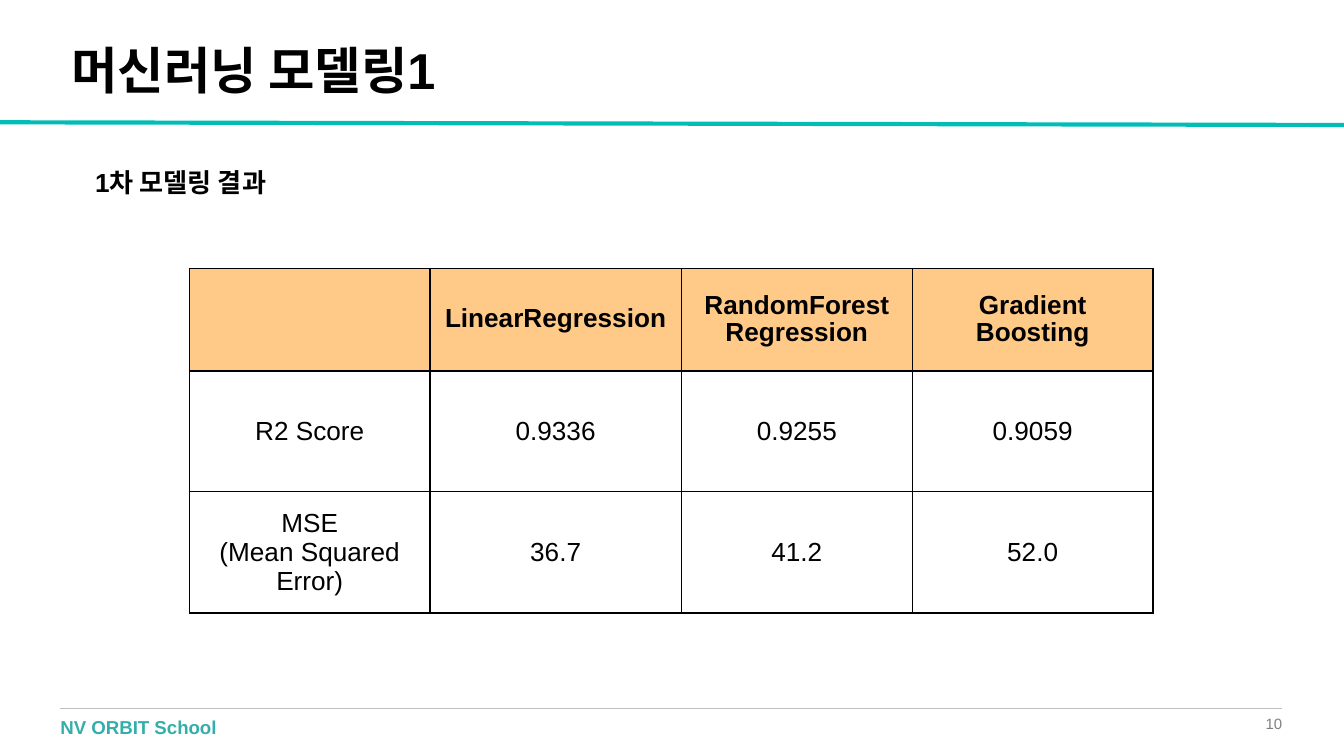
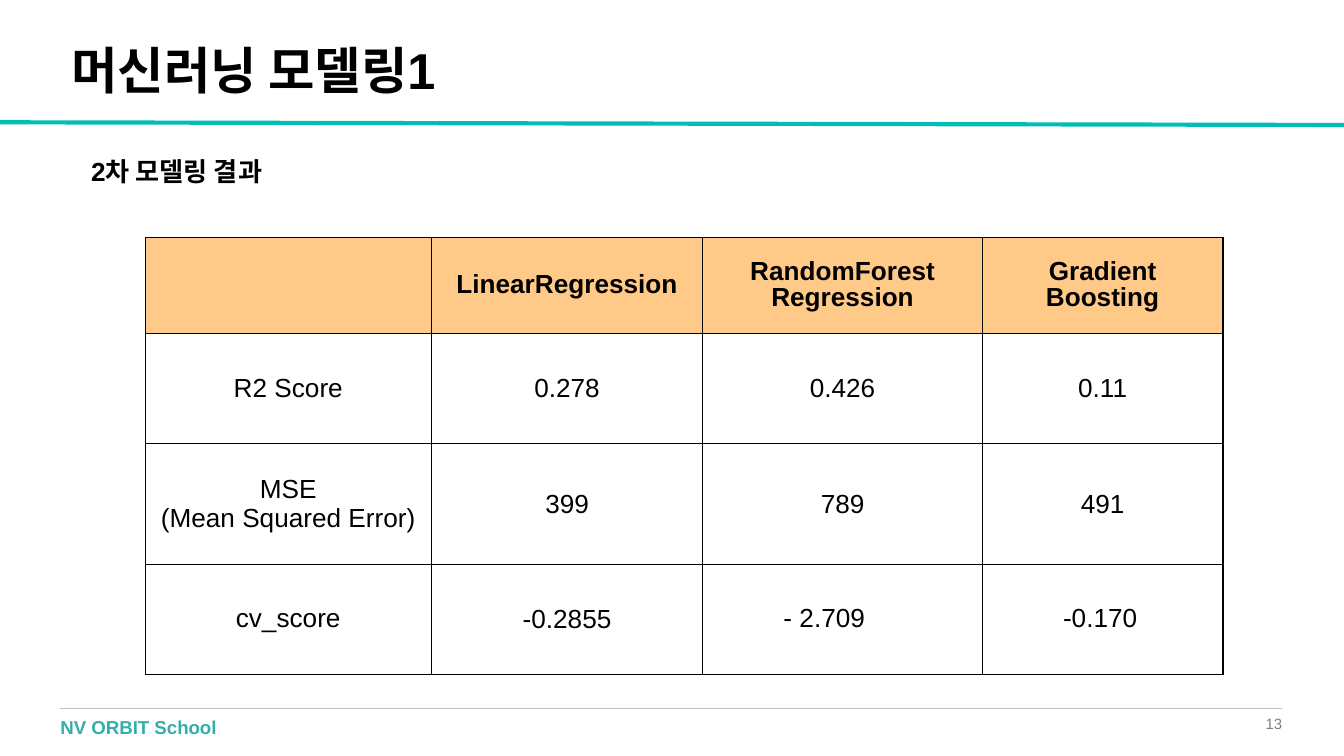
"""Build two slides that compare regression model results in tables."""
from lxml import etree
from pptx import Presentation
from pptx.dml.color import RGBColor
from pptx.enum import shapes, text
from pptx.oxml import ns
from pptx.util import Inches, Pt

BLACK = RGBColor(0x00, 0x00, 0x00)
TEAL = RGBColor(0x02, 0xBD, 0xB6)
FOOTER_TEAL = RGBColor(0x34, 0xAE, 0xAA)
RULE_GRAY = RGBColor(0xBF, 0xBF, 0xBF)
PAGE_GRAY = RGBColor(0x7F, 0x7F, 0x7F)
HEADER_ORANGE = RGBColor(0xFF, 0xCA, 0x88)
FONT = "Arial"
INSET = 0.1
INDENT = 0.5

TITLE = "머신러닝 모델링1"
FOOTER = "NV ORBIT School"
MODELS = ["", "LinearRegression", "RandomForest Regression", "Gradient Boosting"]
MSE = "MSE\n(Mean Squared Error)"

RESULTS = [
    {
        "page": "10",
        "heading": "1차 모델링 결과",
        "heading_at": (0.61, 1.14),
        "table_at": (1.41, 2.0),
        "columns": [1.79, 1.87, 1.72, 1.79],
        "heights": [0.76, 0.9, 0.9],
        "scores": [
            ["R2 Score", "0.9336", "0.9255", "0.9059"],
            [MSE, "36.7", "41.2", "52.0"],
        ],
        "indented": [],
        "tight": [],
    },
    {
        "page": "13",
        "heading": "2차 모델링 결과",
        "heading_at": (0.58, 1.06),
        "table_at": (1.08, 1.77),
        "columns": [2.13, 2.02, 2.08, 1.79],
        "heights": [0.71, 0.82, 0.9, 0.82],
        "scores": [
            ["R2 Score", "0.278", "0.426", "0.11"],
            [MSE, "399", "789", "491"],
            ["cv_score", "-0.2855", "- 2.709", "-0.170"],
        ],
        "indented": ["- 2.709", "-0.170"],
        "tight": ["cv_score", "- 2.709", "-0.170"],
    },
]


def style(paragraph, size, color=BLACK, bold=False, align=text.PP_ALIGN.LEFT, spacing=None):
    paragraph.alignment = align
    if spacing:
        paragraph.line_spacing = spacing
    for run in paragraph.runs:
        run.font.name = FONT
        run.font.size = Pt(size)
        run.font.bold = bold
        run.font.color.rgb = color


def add_text(slide, words, box, insets, size, wrap=True, anchor=text.MSO_ANCHOR.TOP, **look):
    frame = slide.shapes.add_textbox(*map(Inches, box)).text_frame
    frame.word_wrap = wrap
    frame.vertical_anchor = anchor
    frame.margin_left = frame.margin_right = Inches(insets[0])
    frame.margin_top = frame.margin_bottom = Inches(insets[1])
    frame.text = words
    style(frame.paragraphs[0], size, **look)


def add_rule(slide, start, end, color, width):
    rule = slide.shapes.add_connector(
        shapes.MSO_CONNECTOR.STRAIGHT, *map(Inches, start + end))
    rule.line.color.rgb = color
    rule.line.width = Pt(width)
    etree.SubElement(rule._element.spPr, ns.qn("a:effectLst"))


def add_frame(slide, page):
    add_rule(slide, (10, 0.93), (0, 0.91), TEAL, 2.25)
    add_rule(slide, (0.45, 5.27), (9.54, 5.27), RULE_GRAY, 0.75)
    add_text(slide, page, (8.92, 5.32, 0.62, 0.13), (0, 0), 8, color=PAGE_GRAY,
             anchor=text.MSO_ANCHOR.MIDDLE, align=text.PP_ALIGN.RIGHT)
    add_text(slide, FOOTER, (0.45, 5.33, 2.92, 0.13), (0, 0), 10,
             color=FOOTER_TEAL, bold=True)
    add_text(slide, TITLE, (0.44, 0.29, 3.22, 0.6), (0.09, 0.05), 27,
             wrap=False, bold=True, spacing=0.9)


def add_borders(cell):
    properties = cell._tc.get_or_add_tcPr()
    for side in ("lnL", "lnR", "lnT", "lnB"):
        border = etree.SubElement(properties, ns.qn(f"a:{side}"), w=str(Pt(0.75)))
        fill = etree.SubElement(border, ns.qn("a:solidFill"))
        etree.SubElement(fill, ns.qn("a:srgbClr"), val=str(BLACK))


def fill_cell(cell, words, is_header, indented, tight):
    add_borders(cell)
    if is_header:
        cell.fill.solid()
        cell.fill.fore_color.rgb = HEADER_ORANGE
    else:
        cell.fill.background()
    cell.vertical_anchor = text.MSO_ANCHOR.MIDDLE
    cell.margin_left = cell.margin_right = Inches(INSET)
    cell.margin_top = cell.margin_bottom = Inches(INSET)
    cell.text_frame.text = words
    align = text.PP_ALIGN.LEFT if indented else text.PP_ALIGN.CENTER
    for paragraph in cell.text_frame.paragraphs:
        style(paragraph, 14, bold=is_header, align=align,
              spacing=0.9 if is_header or tight else None)
        if indented:
            paragraph._p.get_or_add_pPr().set("marL", str(Inches(INDENT)))


def add_scores(slide, result):
    rows = [MODELS] + result["scores"]
    columns, heights = result["columns"], result["heights"]
    size = (sum(columns), sum(heights))
    table = slide.shapes.add_table(
        len(rows), len(columns), *map(Inches, result["table_at"] + size)).table
    table.first_row = table.horz_banding = False
    for column, width in zip(table.columns, columns):
        column.width = Inches(width)
    for index, (row, height, entries) in enumerate(zip(table.rows, heights, rows)):
        row.height = Inches(height)
        for cell, words in zip(row.cells, entries):
            fill_cell(cell, words, index == 0,
                      words in result["indented"], words in result["tight"])


def main():
    deck = Presentation()
    deck.slide_width = Inches(10)
    deck.slide_height = deck.slide_width * 9 // 16
    for result in RESULTS:
        slide = deck.slides.add_slide(deck.slide_layouts[6])
        add_frame(slide, result["page"])
        add_scores(slide, result)
        add_text(slide, result["heading"], result["heading_at"] + (2.09, 0.44),
                 (INSET, INSET), 14, bold=True)
    deck.save("out.pptx")


if __name__ == "__main__":
    main()
